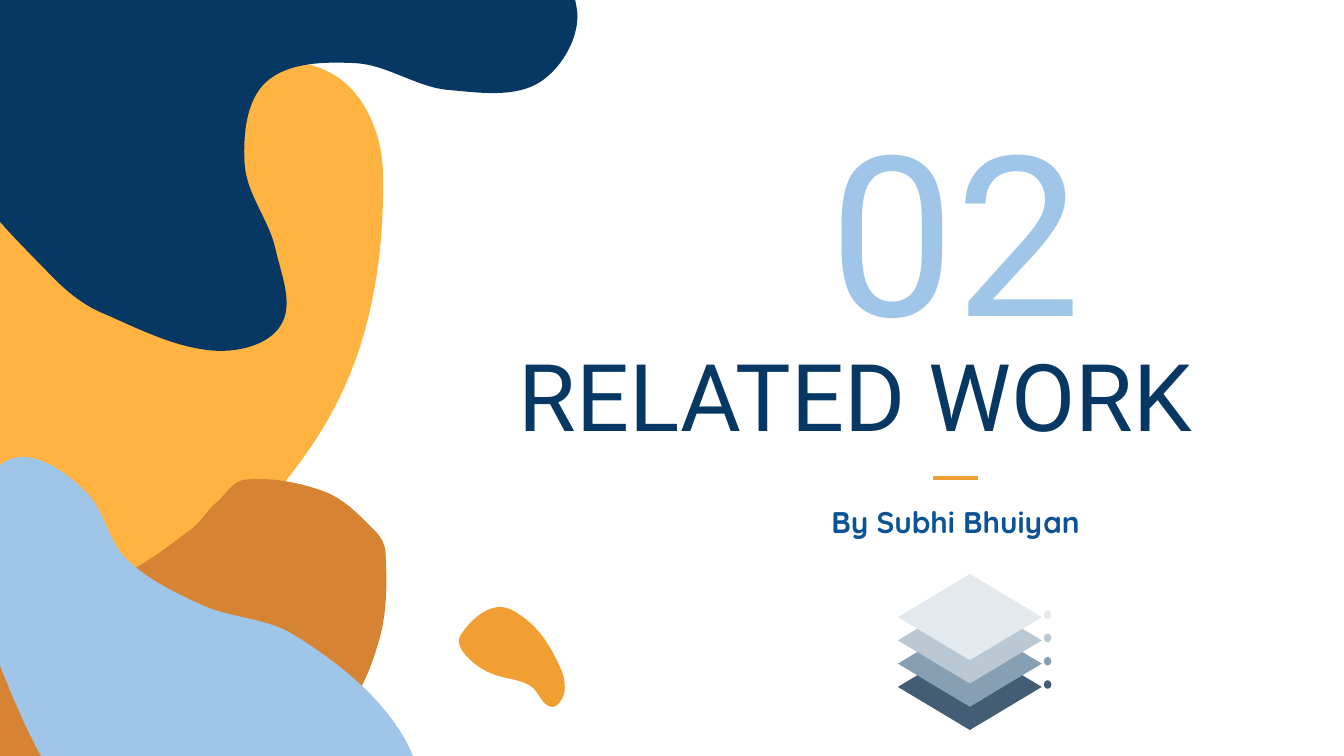
import math

from lxml import etree
from pptx import Presentation
from pptx import util as u
from pptx.dml.color import RGBColor
from pptx.enum import shapes, text
from pptx.oxml.ns import qn

COLORS = {
    "navy": "073763",
    "blue": "0B5394",
    "sky": "9FC5E8",
    "yellow": "FFB340",
    "brown": "D68434",
    "orange": "F19F32",
}
LAYER_COLORS = ["435D74", "869FB2", "BAC8D3", "E3E9ED"]  # bottom to top

# Points that each smooth closed outline passes through, in hundredths of an inch.
BLOBS = [
    ("yellow", [
        (-106, 399), (-173, 243), (-127, 95), (-35, 54), (52, 105), (187, 47),
        (256, 61), (285, 130), (259, 282), (168, 408), (72, 471), (-35, 457)]),
    ("brown", [
        (287, 413), (281, 480), (249, 538), (140, 614), (0, 662), (-308, 694),
        (-416, 606), (-243, 381), (-93, 384), (-33, 445), (81, 431), (142, 394),
        (161, 374), (182, 357), (242, 366), (279, 395)]),
    ("navy", [
        (40, 207), (74, 232), (160, 261), (209, 242), (205, 185), (182, 121),
        (198, 61), (264, 47), (334, 67), (402, 61), (429, 5), (367, -128),
        (258, -229), (121, -270), (-10, -254), (-84, -34), (-30, 123)]),
    ("orange", [
        (420, 515), (410, 526), (394, 510), (365, 501), (346, 487), (342, 474),
        (369, 452), (395, 464), (416, 495)]),
    ("sky", [
        (-20, 387), (10, 341), (63, 365), (95, 417), (152, 451), (218, 472),
        (295, 540), (306, 600), (179, 685), (69, 619), (-9, 472)]),
]


def rgb(color):
    return RGBColor.from_string(COLORS.get(color, color))


def paint(sp, color):
    sp.shadow.inherit = False
    sp.fill.solid()
    sp.fill.fore_color.rgb = rgb(color)
    sp.line.fill.background()


def handle(at, before, after, length):
    """Control point at a length from a point, along the line joining its neighbours."""
    k = length / math.dist(before, after)
    return at[0] + k * (after[0] - before[0]), at[1] + k * (after[1] - before[1])


def smooth(points):
    """Two control points and an end point for each curve of a closed outline."""
    n = len(points)
    result = []
    for i in range(n):
        before, start, end, after = (points[(i + k) % n] for k in (-1, 0, 1, 2))
        third = math.dist(start, end) / 3
        result += [handle(start, before, end, third), handle(end, after, start, third), end]
    return result


def add_blob(s, color, points):
    """Build the outline from its points, then turn each three lines into a curve."""
    builder = s.shapes.build_freeform(*points[0], scale=u.Cm(2.54) / 100)
    builder.add_line_segments(smooth(points), close=True)
    sp = builder.convert_to_shape()
    lines = list(sp._element.iter(qn("a:lnTo")))
    for i in range(0, 3 * len(points), 3):
        curve = etree.Element(qn("a:cubicBezTo"))
        lines[i].addprevious(curve)
        for line in lines[i:i + 3]:
            curve.append(line[0])
            line.getparent().remove(line)
    paint(sp, color)


def set_text(sp, content, font, size, color, bold=False, anchor=text.MSO_ANCHOR.TOP):
    tf = sp.text_frame
    tf.word_wrap = True
    tf.auto_size = text.MSO_AUTO_SIZE.NONE
    tf.vertical_anchor = anchor
    tf.margin_left = tf.margin_right = tf.margin_top = tf.margin_bottom = u.Cm(0.25)
    p = tf.paragraphs[0]
    p.text = content
    p.alignment = text.PP_ALIGN.CENTER
    p.line_spacing = 1.0
    p.font.name, p.font.size, p.font.bold = font, u.Pt(size), bold
    p.font.color.rgb = rgb(color)


def add_title(s):
    sp = s.shapes.title
    sp.left, sp.top, sp.width, sp.height = u.Cm(8.92), u.Cm(4.98), u.Cm(14.5), u.Cm(3.78)
    set_text(sp, "RELATED WORK", "Roboto", 50, "navy", anchor=text.MSO_ANCHOR.BOTTOM)


def add_label(s, top, height, *style, **options):
    sp = s.shapes.add_textbox(u.Cm(12.7), u.Cm(top), u.Cm(10.72), u.Cm(height))
    set_text(sp, *style, **options)


def add_rule(s):
    y = u.Cm(9.04)
    line = s.shapes.add_connector(shapes.MSO_CONNECTOR.STRAIGHT, u.Cm(17.63), y, u.Cm(18.49), y)
    line.line.color.rgb = rgb("orange")
    line.line.width = u.Pt(2.25)
    etree.SubElement(line._element.spPr, qn("a:effectLst"))


def add_layer_stack(s):
    group = s.shapes.add_group_shape()
    for i, color in enumerate(LAYER_COLORS):
        top = 12.17 - 0.44 * i
        sheet = group.shapes.add_shape(
            shapes.MSO_SHAPE.DIAMOND, u.Cm(16.97), u.Cm(top), u.Cm(2.72), u.Cm(1.63))
        dot = group.shapes.add_shape(
            shapes.MSO_SHAPE.OVAL, u.Cm(19.73), u.Cm(top + 0.69), u.Cm(0.14), u.Cm(0.16))
        paint(sheet, color)
        paint(dot, color)


def main():
    prs = Presentation()
    prs.slide_width, prs.slide_height = u.Cm(25.4), u.Cm(14.29)
    s = prs.slides.add_slide(prs.slide_layouts[5])
    add_rule(s)
    for color, points in BLOBS:
        add_blob(s, color, points)
    add_title(s)
    add_label(s, 9.27, 1.98, "By Subhi Bhuiyan", "Quicksand", 16, "blue", bold=True)
    add_label(s, 1.5, 4.37, "02", "Roboto", 120, "sky")
    add_layer_stack(s)
    prs.save("out.pptx")


if __name__ == "__main__":
    main()
